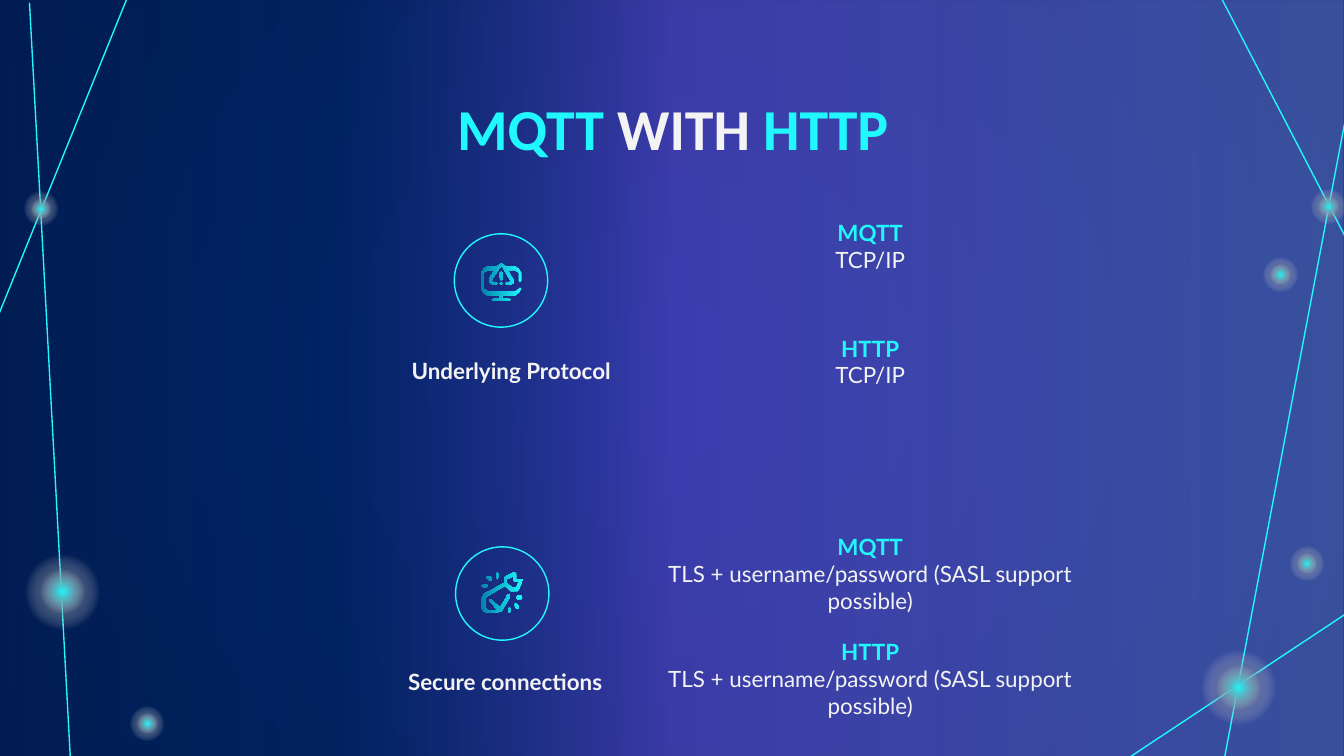
from pptx import Presentation
from pptx.dml.color import RGBColor
from pptx.enum.shapes import MSO_CONNECTOR, MSO_SHAPE
from pptx.enum.text import MSO_ANCHOR, PP_ALIGN
from pptx.oxml.ns import qn
from pptx.util import Pt
from lxml.etree import SubElement

COLORS = {"cyan": "20F8FD", "teal": "0182AA", "white": "F3F3F3", "navy": "012060",
          "night": "00183A", "blue": "022E88", "violet": "7659FF", "sky": "748BFF"}
W, H = 720, 405

LINES = [(-0.7, 168.5, 67.7, 0), (38.2, 415.4, 15.8, 1.4), (592.6, 414, 722.9, 327.6),
         (654.5, -0.7, 721.4, 128.2), (653.8, 417.6, 722.2, 56.2)]
GLOWS = [(33.5, 317.2, 57), (663.5, 368.3, 57), (22, 112, 26.6), (711.7, 110.5, 26.6),
         (685.8, 147.2, 26.6), (700.2, 302, 26.6), (78.8, 387.7, 26.6)]

MONITOR = [
    [(29, 14), (30, 13), (30, 7), (28.5, 3.5), (25, 2), (18, 2), (15, 0), (12, 2), (5, 2),
     (1.5, 3.5), (0, 7), (0, 19), (1.5, 22.5), (5, 24), (14, 24), (14, 26), (10, 26),
     (8, 27), (10, 28), (20, 28), (22, 27), (20, 26), (16, 26), (16, 24), (25, 24),
     (28.5, 22.5), (30, 19), (29, 18), (28, 19), (25, 21), (5, 21), (2, 19), (2, 7),
     (5, 5), (10, 5), (6, 11), (6, 14), (9, 16), (11, 16), (12, 15), (11, 14), (9, 14),
     (8, 13), (8, 12), (14, 3), (15, 2), (16, 3), (20, 10), (22, 13), (21, 14), (19, 14),
     (18, 15), (19, 16), (21, 16), (24, 15), (24, 12), (22, 9), (20, 5), (25, 5),
     (28, 7), (28, 13)],
    [(14, 15), (15, 14), (16, 15), (15, 16)],
    [(16, 11), (16, 7), (15, 6), (14, 7), (14, 11), (15, 13)],
]
WRENCH = [
    [(28, 13), (31, 6), (31, 5), (30, 5), (26, 5), (26, 1), (25, 0), (24, 0), (18, 3),
     (17, 4), (17, 8), (15, 9), (2, 16), (0, 20), (0, 26), (1.5, 29), (5, 30), (10, 30),
     (15, 29), (21, 19), (21, 16), (19, 17), (19, 18), (14, 26), (7, 20), (6, 20), (6, 21),
     (12, 28), (10, 28), (5, 28), (3, 26), (3, 20), (4, 18), (16, 11), (18, 10), (21, 13),
     (22, 14), (27, 14)],
    [(23, 11), (19, 8), (19, 5), (24, 3), (24, 6), (25, 7), (28, 7), (26, 11)],
    [(4, 4), (4, 3), (6, 3), (8, 4), (8, 6), (6, 6)],
    [(11, 3), (11, 1), (12, 0), (13, 1), (13, 3), (12, 5)],
    [(0, 10), (2, 9), (4, 9), (5, 10), (4, 11), (2, 11)],
    [(28, 25), (28, 27), (26, 27), (25, 25), (25, 23), (26, 23)],
    [(31, 19), (30, 20), (27, 20), (26, 19), (27, 17), (30, 17)],
    [(22, 27), (22, 29), (21, 30), (20, 29), (20, 27), (21, 26)],
]
LOGIN = "TLS + username/password (SASL support possible)"
TOPICS = [
    ("Underlying Protocol", (177.8, 184.3, 181.4), (243.4, 125.3), MONITOR, (257.8, 141.1),
     [("MQTT", "TCP/IP", 110.2), ("HTTP", "TCP/IP", 172.1)]),
    ("Secure connections", (170.6, 350.6, 189.4), (244.1, 293), WRENCH, (257.8, 306.7),
     [("MQTT", LOGIN, 278.6), ("HTTP", LOGIN, 334.8)]),
]


def rgb(name):
    return RGBColor.from_string(COLORS[name])


class Deck:
    """Slide style and the drawing methods for the current slide."""

    def __init__(self, prs):
        self.s = prs.slides.add_slide(prs.slide_layouts[6])
        self.shapes = self.s.shapes

    def gradient(self, owner, fill, stops, angle=None):
        fill.gradient()
        grad = owner.xpath(".//a:gradFill")[0]
        for child in list(grad):
            grad.remove(child)
        gs_list = SubElement(grad, qn("a:gsLst"))
        for pos, name, alpha in stops:
            gs = SubElement(gs_list, qn("a:gs"), pos=str(pos * 1000))
            clr = SubElement(gs, qn("a:srgbClr"), val=COLORS[name])
            if alpha < 100:
                SubElement(clr, qn("a:alpha"), val=str(alpha * 1000))
        if angle is None:
            route = SubElement(grad, qn("a:path"), path="circle")
            SubElement(route, qn("a:fillToRect"), l="50000", t="50000", r="50000", b="50000")
        else:
            SubElement(grad, qn("a:lin"), ang=str(angle * 60000), scaled="0")

    def background(self, stops):
        self.gradient(self.s._element, self.s.background.fill, stops)

    def shape(self, kind, x, y, w, h, stops=None, angle=None):
        sp = self.shapes.add_shape(kind, Pt(x), Pt(y), Pt(w), Pt(h))
        sp.shadow.inherit = False
        if stops:
            self.gradient(sp._element, sp.fill, stops, angle)
            sp.line.fill.background()
        else:
            sp.fill.background()
            sp.line.color.rgb = rgb("cyan")
            sp.line.width = Pt(0.75)

    def glow(self, cx, cy, size):
        for name, d in (("night", size), ("cyan", size * 0.6)):
            self.shape(MSO_SHAPE.OVAL, cx - d / 2, cy - d / 2, d, d,
                       [(0, name, 100), (50, "white", 0), (100, "white", 0)])

    def line(self, x1, y1, x2, y2):
        c = self.shapes.add_connector(MSO_CONNECTOR.STRAIGHT, Pt(x1), Pt(y1), Pt(x2), Pt(y2))
        c.line.color.rgb = rgb("cyan")
        c.line.width = Pt(0.75)
        SubElement(c._element.spPr, qn("a:effectLst"))

    def icon(self, outlines, x, y):
        first, *others = outlines
        fb = self.shapes.build_freeform(*first[0], scale=Pt(0.72))
        fb.add_line_segments(first[1:], close=True)
        for points in others:
            fb.move_to(*points[0])
            fb.add_line_segments(points[1:], close=True)
        sp = fb.convert_to_shape(Pt(x), Pt(y))
        sp.shadow.inherit = False
        self.gradient(sp._element, sp.fill, [(0, "cyan", 100), (100, "teal", 100)], 180)
        sp.line.fill.background()

    def text(self, x, y, w, h, paragraphs, size=12, font="Lato", hanging=False):
        tf = self.shapes.add_textbox(Pt(x), Pt(y), Pt(w), Pt(h)).text_frame
        tf.word_wrap = True
        tf.vertical_anchor = MSO_ANCHOR.TOP
        tf.margin_left = tf.margin_right = tf.margin_top = tf.margin_bottom = Pt(7.2)
        for i, (bold, runs) in enumerate(paragraphs):
            p = tf.add_paragraph() if i else tf.paragraphs[0]
            p.alignment = PP_ALIGN.CENTER
            if hanging:
                pPr = p._p.get_or_add_pPr()
                pPr.set("marL", str(Pt(36)))
                pPr.set("indent", str(Pt(-25.2)))
            p.font.name, p.font.size, p.font.bold = font, Pt(size), bold
            if len(runs) == 1:
                p.font.color.rgb = rgb(runs[0][1])
            for words, color in runs:
                r = p.add_run()
                r.text = words
                if len(runs) > 1:
                    r.font.color.rgb = rgb(color)


def main():
    prs = Presentation()
    prs.slide_width, prs.slide_height = Pt(W), Pt(H)
    deck = Deck(prs)
    deck.background([(0, "navy", 100), (100, "night", 100)])
    deck.shape(MSO_SHAPE.RECTANGLE, 0, 0, W, H,
               [(0, "sky", 49), (50, "violet", 50), (75, "blue", 35), (100, "navy", 60)], 180)
    for ends in LINES:
        deck.line(*ends)
    for spot in GLOWS:
        deck.glow(*spot)

    title = [("MQTT ", "cyan"), ("WITH ", "white"), ("HTTP", "cyan")]
    deck.text(56.9, 42.5, 607, 49.7, [(True, title)], 31, "Calibri")
    for label, (x, y, w), ring, outlines, corner, answers in TOPICS:
        deck.shape(MSO_SHAPE.OVAL, *ring, 50, 50)
        deck.icon(outlines, *corner)
        deck.text(x, y, w, 32.4, [(True, [(label, "white")])], hanging=True)
        for protocol, answer, top in answers:
            deck.text(344.2, top, 244, 54,
                      [(True, [(protocol, "cyan")]), (False, [(answer, "white")])])
    prs.save("out.pptx")


if __name__ == "__main__":
    main()
